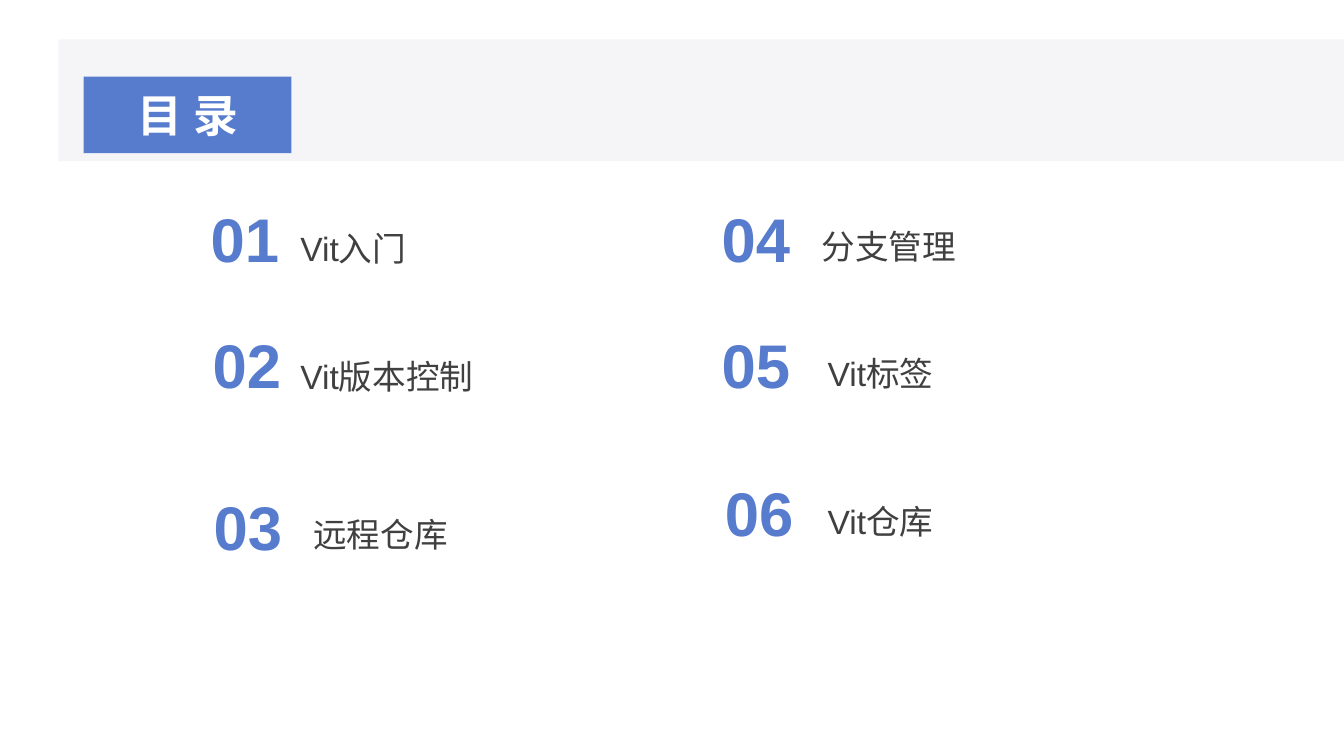
from pptx import Presentation
from pptx.dml.color import RGBColor
from pptx.enum.shapes import MSO_SHAPE
from pptx.enum.text import MSO_ANCHOR, MSO_AUTO_SIZE, PP_ALIGN
from pptx.util import Inches, Pt

BLUE = RGBColor(0x57, 0x7C, 0xCE)
GREY = RGBColor(0x40, 0x40, 0x40)
PALE = RGBColor(0xF5, 0xF5, 0xF8)
WHITE = RGBColor(0xFF, 0xFF, 0xFF)
FONT = "Arial"

# Content: chapter, number position, label position, label line spacing
TITLE = "目录"
CHAPTERS = [
    ("Vit入门", (1.99, 1.94), (2.88, 2.01), 1.5),
    ("Vit版本控制", (2.01, 3.19), (2.88, 3.28), 1.5),
    ("远程仓库", (2.02, 4.8), (3.01, 4.81), 1.6),
    ("分支管理", (7.06, 1.94), (8.05, 1.99), 1.5),
    ("Vit标签", (7.06, 3.19), (8.11, 3.25), 1.5),
    ("Vit仓库", (7.09, 4.66), (8.11, 4.72), 1.5),
]
NUMBER_SIZE = (1, 0.84)
LABEL_SIZE = (4, 0.79)

prs = Presentation()
prs.slide_width, prs.slide_height = Inches(13.33), Inches(7.5)
s = prs.slides.add_slide(prs.slide_layouts[5])


def style(p, size, color, bold=False):
    r = p.runs[0]
    r.font.name, r.font.size, r.font.bold = FONT, Pt(size), bold
    r.font.color.rgb = color
    return r


def add_text(text, at, box, size, color, bold=False):
    tf = s.shapes.add_textbox(*map(Inches, at + box)).text_frame
    tf.word_wrap = True
    tf.text = text
    p = tf.paragraphs[0]
    style(p, size, color, bold)
    return p


# Header band, running to the right edge
band = s.shapes.add_shape(MSO_SHAPE.RECTANGLE, Inches(0.58), Inches(0.39),
                          Inches(12.75), Inches(1.21))
band.shadow.inherit = False
band.fill.solid()
band.fill.fore_color.rgb = PALE
band.line.fill.background()

# Title on a blue block, in front of the band
title = s.shapes.title
band.element.addnext(title.element)
title.left, title.top = Inches(0.83), Inches(0.76)
title.width, title.height = Inches(2.06), Inches(0.76)
title.fill.solid()
title.fill.fore_color.rgb = BLUE
tf = title.text_frame
tf.text = TITLE
tf.auto_size = MSO_AUTO_SIZE.NONE
tf.vertical_anchor = MSO_ANCHOR.MIDDLE
tf.paragraphs[0].alignment = PP_ALIGN.CENTER
r = style(tf.paragraphs[0], 32, WHITE, True)
r.font._element.set("spc", "800")  # letter spacing in 1/100 pt

# Numbered chapters
for i, (name, number_at, label_at, spacing) in enumerate(CHAPTERS, 1):
    add_text(f"{i:02d}", number_at, NUMBER_SIZE, 44, BLUE, True)
    p = add_text(name, label_at, LABEL_SIZE, 24, GREY)
    p.line_spacing = spacing
    p.space_after = Pt(20)

prs.save("out.pptx")
